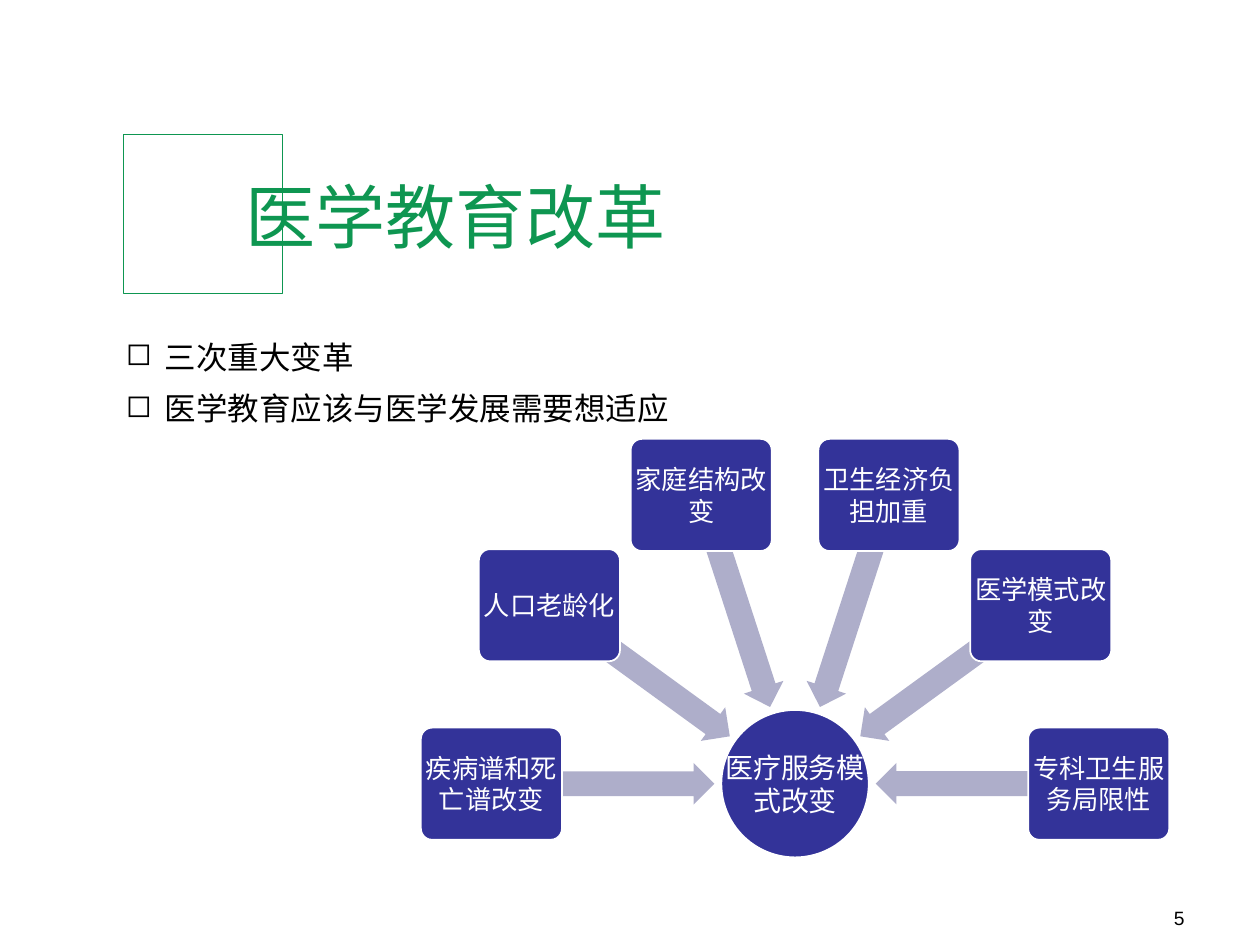
import math

from lxml import etree
from pptx import Presentation
from pptx.dml.color import RGBColor
from pptx.enum import shapes, text
from pptx.oxml.ns import qn
from pptx.util import Inches, Pt

TITLE = "医学教育改革"
POINTS = ["三次重大变革", "医学教育应该与医学发展需要想适应"]
PAGE_NUMBER = "5"
OUTCOME = "医疗服务模式改变"
# clockwise around the outcome, from the left
CAUSES = ["疾病谱和死亡谱改变", "人口老龄化", "家庭结构改变",
          "卫生经济负担加重", "医学模式改变", "专科卫生服务局限性"]

GREEN, NAVY, LILAC = "0E9651", "333399", "AEAECA"
BLACK, WHITE = "000000", "FFFFFF"
ARIAL, CJK = "Arial", "Noto Sans CJK SC"

HUB = (6.31, 6.22)
HUB_SIZE = 1.17
CAUSE_SIZE, CAUSE_RADIUS = (1.12, 0.89), 2.41
ARROW_SIZE, ARROW_RADIUS = (1.72, 0.33), 1.5


def rgb(color):
    return RGBColor.from_string(color)


def style(paragraph, size, color, font=ARIAL, align=text.PP_ALIGN.LEFT):
    paragraph.alignment = align
    paragraph.font.size = Pt(size)
    paragraph.font.name = font
    paragraph.font.color.rgb = rgb(color)


def write(frame, words, size, color, font=ARIAL, align=text.PP_ALIGN.LEFT,
          anchor=text.MSO_ANCHOR.TOP, inset=None):
    """Fill a text frame with one paragraph per string."""
    frame.word_wrap = True
    frame.vertical_anchor = anchor
    if inset is not None:
        frame.margin_left = frame.margin_right = Inches(inset)
        frame.margin_top = frame.margin_bottom = Inches(inset)
    for i, line in enumerate(words):
        paragraph = frame.paragraphs[0] if i == 0 else frame.add_paragraph()
        paragraph.text = line
        style(paragraph, size, color, font, align)


def add_bullet(paragraph, indent):
    props = paragraph._p.get_or_add_pPr()
    props.set("marL", str(Inches(indent)))
    props.set("indent", str(-Inches(indent)))
    bullet = etree.Element(qn("a:buChar"), char="◻")
    props.insert_element_before(bullet, "a:tabLst", "a:defRPr", "a:extLst")


def text_box(slide, left, top, width, height):
    return slide.shapes.add_textbox(
        Inches(left), Inches(top), Inches(width), Inches(height)).text_frame


def add_shape(slide, kind, center, size, fill=None, line=None, line_width=1):
    (x, y), (width, height) = center, size
    shape = slide.shapes.add_shape(
        kind, Inches(x - width / 2), Inches(y - height / 2),
        Inches(width), Inches(height))
    shape.shadow.inherit = False
    if fill:
        shape.fill.solid()
        shape.fill.fore_color.rgb = rgb(fill)
    else:
        shape.fill.background()
    if line:
        shape.line.color.rgb = rgb(line)
        shape.line.width = Pt(line_width)
    else:
        shape.line.fill.background()
    return shape


def around_hub(angle, radius):
    turn = math.radians(angle)
    return HUB[0] + radius * math.cos(turn), HUB[1] + radius * math.sin(turn)


def add_diagram(slide):
    kinds = shapes.MSO_SHAPE
    centered = dict(align=text.PP_ALIGN.CENTER, anchor=text.MSO_ANCHOR.MIDDLE)

    add_shape(slide, kinds.OVAL, HUB, (HUB_SIZE, HUB_SIZE), NAVY, WHITE)
    label = text_box(slide, HUB[0] - HUB_SIZE / 2, HUB[1] - HUB_SIZE / 2,
                     HUB_SIZE, HUB_SIZE)
    write(label, [OUTCOME], 16, WHITE, inset=0.01, **centered)

    for i, cause in enumerate(CAUSES):
        angle = 180 + i * 180 / (len(CAUSES) - 1)
        arrow = add_shape(slide, kinds.LEFT_ARROW,
                          around_hub(angle, ARROW_RADIUS), ARROW_SIZE, LILAC)
        arrow.adjustments[0] = 0.6
        arrow.rotation = angle % 360
        box = add_shape(slide, kinds.ROUNDED_RECTANGLE,
                        around_hub(angle, CAUSE_RADIUS), CAUSE_SIZE, NAVY, WHITE)
        box.adjustments[0] = 0.1
        write(box.text_frame, [cause], 15, WHITE, inset=0, **centered)


def main():
    deck = Presentation()
    deck.slide_width, deck.slide_height = Inches(10), Inches(7.5)
    slide = deck.slides.add_slide(deck.slide_layouts[6])

    add_shape(slide, shapes.MSO_SHAPE.RECTANGLE, (1.61, 1.7), (1.26, 1.26),
              line=GREEN, line_width=0.5)
    write(text_box(slide, 1.85, 1.3, 6.61, 0.79), [TITLE], 40, GREEN, CJK,
          anchor=text.MSO_ANCHOR.BOTTOM)
    write(text_box(slide, 7.17, 7.14, 2.33, 0.28), [PAGE_NUMBER], 11, BLACK,
          align=text.PP_ALIGN.RIGHT)

    points = text_box(slide, 0.9, 2.57, 8.87, 1.31)
    write(points, POINTS, 18, BLACK)
    for i, paragraph in enumerate(points.paragraphs):
        paragraph.line_spacing = 1.2
        paragraph.space_before = Pt(3.6 if i else 0)
        add_bullet(paragraph, 0.31)

    add_diagram(slide)
    deck.save("out.pptx")


if __name__ == "__main__":
    main()
